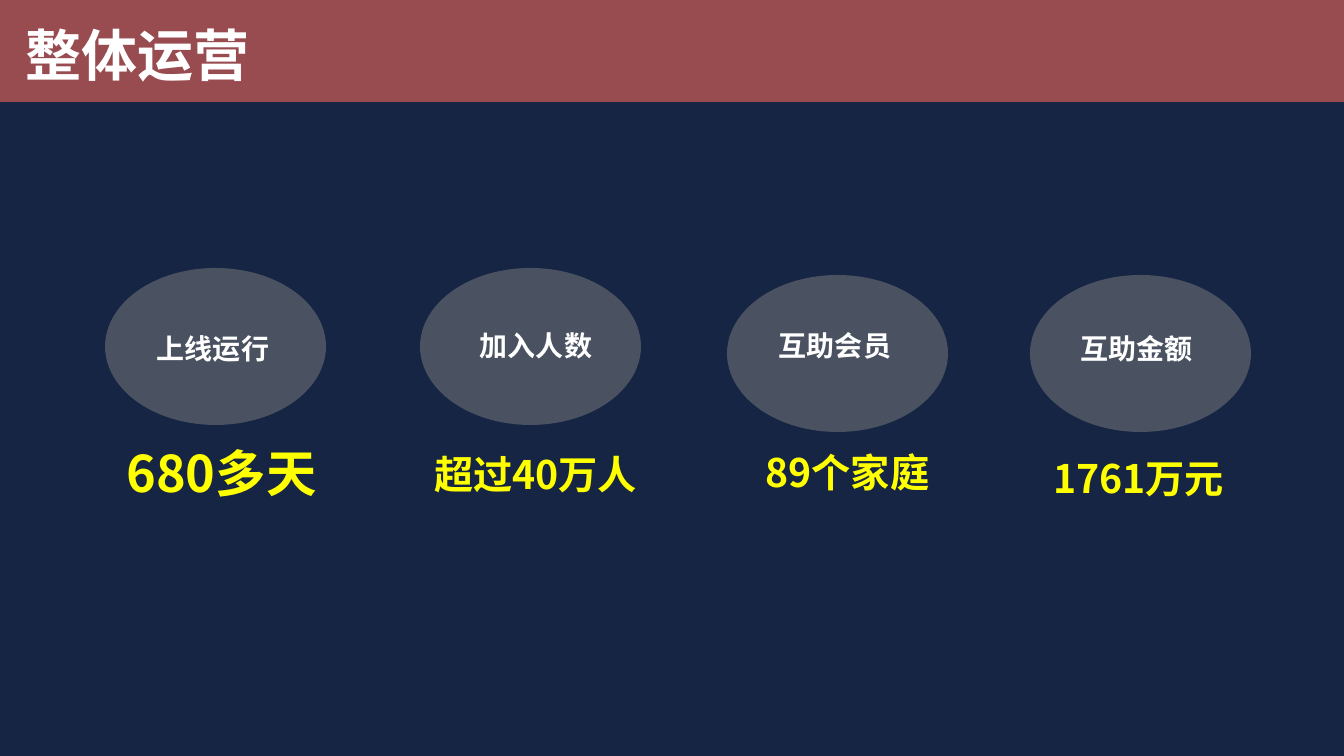
from lxml.etree import SubElement
from pptx import Presentation
from pptx.dml.color import RGBColor
from pptx.enum.shapes import MSO_SHAPE as Shape
from pptx.enum.text import MSO_ANCHOR as Anchor, PP_ALIGN as Align
from pptx.oxml.ns import qn
from pptx.util import Emu, Pt

COLORS = {
    "navy": "152543",
    "red": "984C50",
    "gray": "808080",
    "white": "FFFFFF",
    "yellow": "FFFF00",
}
SCALE = 914400 / 100.8
WIDTH, HEIGHT = 1344, 756


def px(*lengths):
    return [Emu(round(length * SCALE)) for length in lengths]


def color(name):
    return RGBColor.from_string(COLORS[name])


class Canvas:
    heading_font = "Calibri"
    body_font = "Noto Sans CJK SC"

    def __init__(self, deck):
        self.page = deck.slides.add_slide(deck.slide_layouts[6])
        fill = self.page.background.fill
        fill.solid()
        fill.fore_color.rgb = color("navy")

    def shape(self, kind, place, fill, opacity=100):
        shape = self.page.shapes.add_shape(kind, *px(*place))
        shape.shadow.inherit = False
        shape.fill.solid()
        shape.fill.fore_color.rgb = color(fill)
        shape.line.fill.background()
        if opacity < 100:
            tint = shape.fill._xPr.find(qn("a:solidFill"))[0]
            SubElement(tint, qn("a:alpha")).set("val", str(opacity * 1000))

    def text(self, words, place, size, ink, font=body_font,
             align=Align.CENTER, anchor=Anchor.MIDDLE):
        box = self.page.shapes.add_textbox(*px(*place))
        frame = box.text_frame
        frame.word_wrap = True
        frame.vertical_anchor = anchor
        para = frame.paragraphs[0]
        para.alignment = align
        span = para.add_run()
        span.text = words
        look = {"name": font, "size": Pt(size), "bold": True}
        for key, value in look.items():
            setattr(span.font, key, value)
        span.font.color.rgb = color(ink)
        east_asian = SubElement(span._r.get_or_add_rPr(), qn("a:ea"))
        east_asian.set("typeface", self.body_font)


METRICS = [
    ("上线运行", (140, 318), (105, 268), "680多天", 36, (105, 449, 233, 46)),
    ("加入人数", (463, 315), (420, 268), "超过40万人", 28, (419, 451, 233, 46)),
    ("互助会员", (762, 315), (727, 275), "89个家庭", 28, (731, 449, 233, 46)),
    ("互助金额", (1064, 318), (1030, 275), "1761万元", 28, (1022, 442, 233, 71)),
]


def main():
    deck = Presentation()
    deck.slide_width, deck.slide_height = px(WIDTH, HEIGHT)
    canvas = Canvas(deck)
    canvas.shape(Shape.RECTANGLE, (0, 0, WIDTH, 102), "red")
    canvas.text("整体运营", (16, 16, 445, 78), 40, "white",
                Canvas.heading_font, Align.LEFT, Anchor.TOP)
    for label, label_spot, oval_spot, value, size, value_place in METRICS:
        canvas.shape(Shape.OVAL, (*oval_spot, 221, 157), "gray", 50)
        canvas.text(label, (*label_spot, 146, 60), 20, "white")
        canvas.text(value, value_place, size, "yellow")
    deck.save("out.pptx")


if __name__ == "__main__":
    main()
